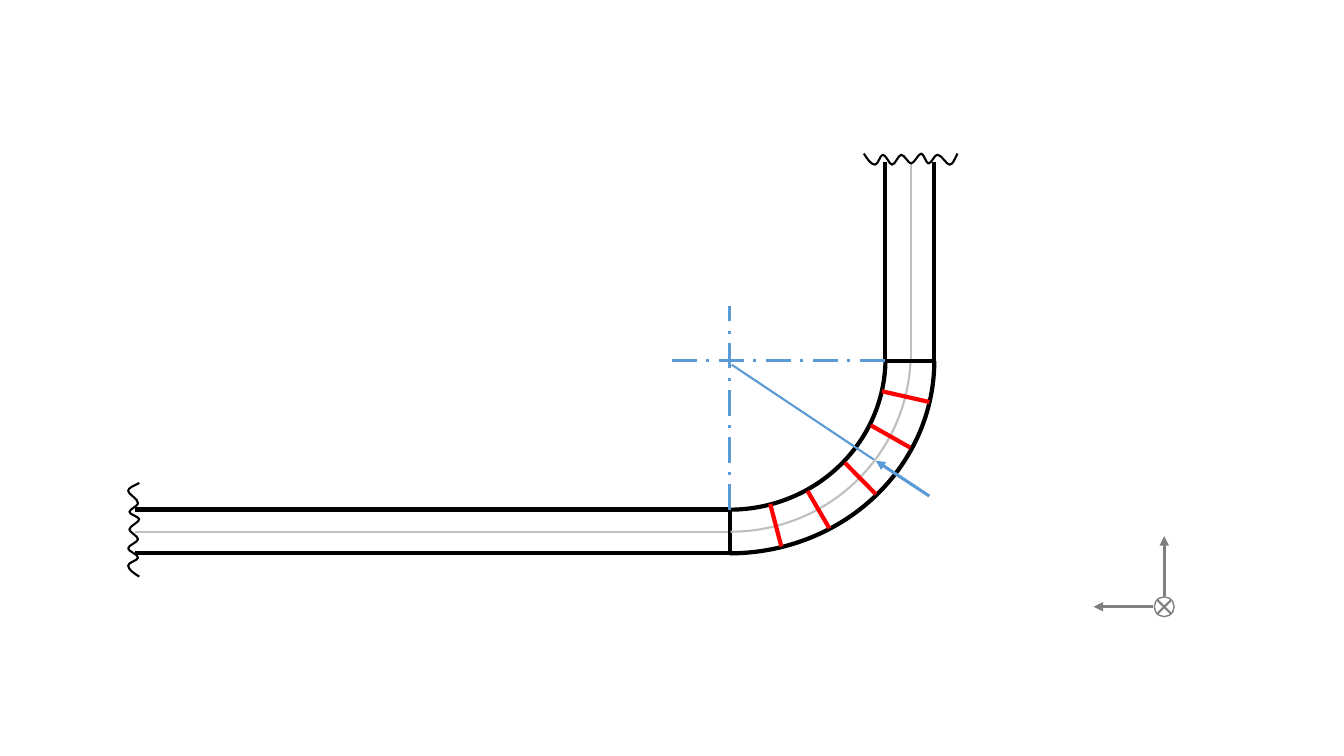
from dataclasses import dataclass

from lxml import etree
from pptx import Presentation
from pptx.dml.color import RGBColor
from pptx.enum.dml import MSO_LINE
from pptx.enum.shapes import MSO_CONNECTOR, MSO_SHAPE
from pptx.oxml.ns import qn
from pptx.util import Cm, Pt

STRAIGHT = MSO_CONNECTOR.STRAIGHT
ARC, OVAL = MSO_SHAPE.ARC, MSO_SHAPE.OVAL
DASH_DOT = MSO_LINE.LONG_DASH_DOT


@dataclass(frozen=True)
class Theme:
    wall: RGBColor = RGBColor(0x00, 0x00, 0x00)
    centre: RGBColor = RGBColor(0xBF, 0xBF, 0xBF)
    radius: RGBColor = RGBColor(0x5B, 0x9B, 0xD5)
    axis: RGBColor = RGBColor(0x80, 0x80, 0x80)
    section: RGBColor = RGBColor(0xFF, 0x00, 0x00)
    hairline: float = 1
    thin: float = 1.5
    medium: float = 2.25
    thick: float = 3


THEME = Theme()

# Main positions of the pipe, in cm
BEND_X, BEND_Y = 18.39, 9.09
PIPE_LEFT, PIPE_TOP = 3.4, 4.09
WALL_UPPER, CENTRE_Y, WALL_LOWER = 12.84, 13.41, 13.94
WALL_INNER, CENTRE_X, WALL_OUTER = 22.3, 22.95, 23.54

SECTIONS = [
    (19.41, 12.7, 19.69, 13.77),
    (20.35, 12.37, 20.9, 13.31),
    (21.29, 11.66, 22.07, 12.45),
    (21.95, 10.72, 22.94, 11.28),
    (22.23, 9.86, 23.42, 10.13),
]

# Bezier segments of a break line: (distance along, depth) in cm
BREAK_WAVE = [
    ((0.08, 0.13), (0.18, 0.28), (0.28, 0.28)),
    ((0.36, 0.28), (0.41, 0.03), (0.48, 0.03)),
    ((0.56, 0.03), (0.64, 0.28), (0.71, 0.28)),
    ((0.79, 0.28), (0.86, 0.05), (0.94, 0.03)),
    ((1.02, 0.03), (1.12, 0.25), (1.19, 0.25)),
    ((1.27, 0.25), (1.37, 0), (1.45, 0)),
    ((1.52, 0.03), (1.57, 0.25), (1.63, 0.25)),
    ((1.7, 0.25), (1.78, 0.03), (1.85, 0.03)),
    ((1.96, 0.03), (2.08, 0.28), (2.16, 0.28)),
    ((2.24, 0.28), (2.29, 0.13), (2.31, 0.1)),
]
BREAK_LENGTH = 2.36


def set_line(shape, color, width):
    shape.line.color.rgb = color
    shape.line.width = Pt(width)


def add_line(shapes, ends, color, width, dash=None, arrow=False):
    line = shapes.add_connector(STRAIGHT, *map(Cm, ends))
    set_line(line, color, width)
    if dash:
        line.line.dash_style = dash
    if arrow:
        ln = line.line._get_or_add_ln()
        etree.SubElement(ln, qn("a:tailEnd"), type="triangle")
    etree.SubElement(line._element.spPr, qn("a:effectLst"))


def set_outline(s, color, width):
    s.shadow.inherit = False
    s.fill.background()
    set_line(s, color, width)


def add_bend(shapes, box, color, width, start=None):
    """Add a quarter arc; box is left, top, width, height before rotation."""
    s = shapes.add_shape(ARC, *map(Cm, box))
    set_outline(s, color, width)
    s.rotation = 90
    if start:
        s.adjustments[0] = start


def add_break(shapes, x, y, rotation, flip=False):
    """Draw the upright wave with its corner at x, y, then rotate it."""
    def place(point):
        along, depth = point
        return Cm(depth), Cm(BREAK_LENGTH - along if flip else along)

    left, top = Cm(x), Cm(y)
    nodes = [(0, 0), *(seg[-1] for seg in BREAK_WAVE), (BREAK_LENGTH, 0)]
    points = [(left + px, top + py) for px, py in map(place, nodes)]
    builder = shapes.build_freeform(*points[0])
    builder.add_line_segments(points[1:], close=False)
    s = builder.convert_to_shape()
    set_outline(s, THEME.wall, THEME.thin)
    s.rotation = rotation

    straights = list(s._element.iter(qn("a:lnTo")))
    for straight, segment in zip(straights, BREAK_WAVE):
        curve = etree.Element(qn("a:cubicBezTo"))
        for px, py in map(place, segment):
            etree.SubElement(curve, qn("a:pt"), x=str(px), y=str(py))
        straight.getparent().replace(straight, curve)


def add_pipe(shapes):
    wall = (THEME.wall, THEME.thick)
    centre = (THEME.centre, THEME.thin)
    add_line(shapes, (CENTRE_X, PIPE_TOP, CENTRE_X, BEND_Y), *centre)
    for y, style in ((WALL_UPPER, wall), (CENTRE_Y, centre), (WALL_LOWER, wall)):
        add_line(shapes, (PIPE_LEFT, y, BEND_X, y), *style)
    add_line(shapes, (BEND_X, WALL_UPPER, BEND_X, WALL_LOWER), *wall)
    add_bend(shapes, (13.92, 4.37, 8.99, 9.07), *centre, start=163.284)
    add_bend(shapes, (13.54, 3.94, 9.7, 10.31), *wall)
    add_bend(shapes, (14.58, 5.11, 7.62, 7.85), *wall, start=162.224)
    add_line(shapes, (WALL_INNER, BEND_Y, 23.6, BEND_Y), *wall)
    for x in (WALL_INNER, WALL_OUTER):
        add_line(shapes, (x, BEND_Y, x, PIPE_TOP), *wall)


def add_radius(shapes):
    style = (THEME.radius, THEME.medium)
    add_line(shapes, (23.42, 12.5, 22.07, 11.61), *style, arrow=True)
    add_line(shapes, (BEND_X, WALL_UPPER, BEND_X, 7.7), *style, dash=DASH_DOT)
    add_line(shapes, (WALL_INNER, BEND_Y, 16.71, BEND_Y), *style, dash=DASH_DOT)
    add_line(shapes, (22.02, 11.58, 18.44, 9.19), THEME.radius, THEME.thin)


def add_axes(shapes, x, y):
    """Group two axis arrows and a crossed circle centred on x, y."""
    group = shapes.add_group_shape().shapes
    gap, reach, r, cross = 0.28, 1.78, 0.25, 0.18
    for dx, dy in ((0, -1), (-1, 0)):
        ends = (x + gap * dx, y + gap * dy, x + reach * dx, y + reach * dy)
        add_line(group, ends, THEME.axis, THEME.medium, arrow=True)
    circle = group.add_shape(OVAL, *map(Cm, (x - r, y - r, 2 * r, 2 * r)))
    set_outline(circle, THEME.axis, THEME.hairline)
    for dy in (-cross, cross):
        add_line(group, (x + cross, y + dy, x - cross, y - dy),
                 THEME.axis, THEME.thin)


def main():
    prs = Presentation()
    prs.slide_width, prs.slide_height = Cm(33.87), Cm(19.05)
    shapes = prs.slides.add_slide(prs.slide_layouts[6]).shapes
    add_pipe(shapes)
    add_radius(shapes)
    add_axes(shapes, 29.34, 15.29)
    add_break(shapes, 22.81, 2.83, rotation=90, flip=True)
    add_break(shapes, 3.23, 12.17, rotation=180)
    for ends in SECTIONS:
        add_line(shapes, ends, THEME.section, THEME.thick)
    prs.save("out.pptx")


if __name__ == "__main__":
    main()
